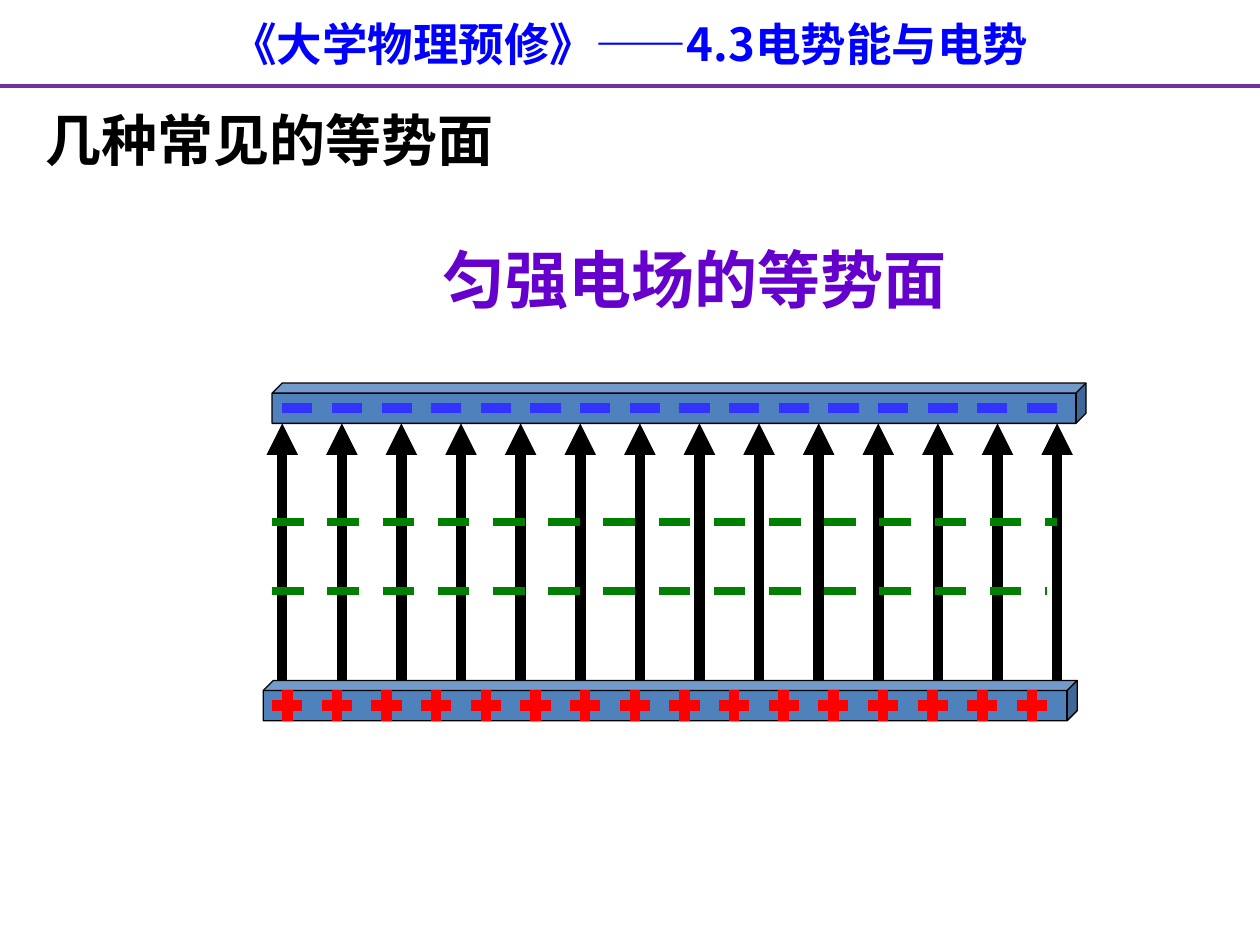
from lxml.etree import SubElement
from pptx import Presentation
from pptx.dml.color import RGBColor as RGB
from pptx.enum.dml import MSO_LINE as Dash
from pptx.enum.shapes import MSO_CONNECTOR as Conn, MSO_SHAPE as Shape
from pptx.enum.text import MSO_ANCHOR as Anchor, PP_ALIGN as Align
from pptx.oxml.ns import qn
from pptx.util import Inches, Pt

FONT = "Noto Sans CJK SC"
BLUE = RGB(0x00, 0x00, 0xFF)
PURPLE = RGB(0x70, 0x30, 0xA0)
VIOLET = RGB(0x66, 0x00, 0xCC)
STEEL = RGB(0x4F, 0x81, 0xBD)
RED = RGB(0xFF, 0x00, 0x00)
INDIGO = RGB(0x33, 0x33, 0xFF)
GREEN = RGB(0x00, 0x80, 0x00)
BLACK = RGB(0x00, 0x00, 0x00)

HEADER = "《大学物理预修》——4.3电势能与电势"
TITLE = "几种常见的等势面"
CAPTION = "匀强电场的等势面"

# Plates: left, top; first and last charge centre, sign
PLATE_W, PLATE_H = 6.46, 0.32
LOWER = (2.09, 5.4, 2.28, 8.19, "+")
UPPER = (2.16, 3.04, 2.36, 8.27, "-")
CHARGES, ARM = 16, 0.12
FIELD_X, FIELD_Y, ARROWS = (2.24, 8.39), (5.4, 3.36), 14
LEVELS = [(2.16, 8.39, 4.14), (2.16, 8.31, 4.69)]


def spread(first, last, count):
    step = (last - first) / (count - 1)
    return [first + i * step for i in range(count)]


def add_line(shapes, x1, y1, x2, y2, color, width):
    line = shapes.add_connector(Conn.STRAIGHT, *map(Inches, (x1, y1, x2, y2)))
    line.line.color.rgb = color
    line.line.width = Pt(width)
    SubElement(line._element.spPr, qn("a:effectLst"))
    return line


def set_text(shape, box, text, size, color, align, pad=(0.1, 0.05)):
    shape.left, shape.top, shape.width, shape.height = map(Inches, box)
    frame = shape.text_frame
    frame.text = text
    frame.word_wrap = True
    frame.vertical_anchor = Anchor.TOP
    frame.margin_left = frame.margin_right = Inches(pad[0])
    frame.margin_top = frame.margin_bottom = Inches(pad[1])
    para = frame.paragraphs[0]
    para.alignment = align
    font = para.runs[0].font
    font.name, font.size, font.bold = FONT, Pt(size), True
    font.color.rgb = color
    SubElement(font._element, qn("a:ea"), typeface=FONT)


def add_plate(slide, left, top, first, last, sign):
    shapes = slide.shapes.add_group_shape().shapes
    cube = shapes.add_shape(
        Shape.CUBE, *map(Inches, (left, top, PLATE_W, PLATE_H)))
    cube.shadow.inherit = False
    cube.fill.solid()
    cube.fill.fore_color.rgb = STEEL
    cube.line.color.rgb = BLACK
    cube.line.width = Pt(0.75)
    y = top + 0.2
    color = RED if sign == "+" else INDIGO
    for x in spread(first, last, CHARGES):
        add_line(shapes, x - ARM, y, x + ARM, y, color, 6)
        if sign == "+":
            add_line(shapes, x, y - ARM, x, y + ARM, color, 6)


def add_field(slide):
    shapes = slide.shapes.add_group_shape().shapes
    start, end = FIELD_Y
    for x in spread(*FIELD_X, ARROWS):
        arrow = add_line(shapes, x, start, x, end, BLACK, 6)
        SubElement(arrow.line._get_or_add_ln(), qn("a:tailEnd"),
                   type="triangle")


def main():
    prs = Presentation()
    prs.slide_width, prs.slide_height = Inches(10), Inches(7.5)
    slide = prs.slides.add_slide(prs.slide_layouts[5])
    shapes = slide.shapes

    set_text(shapes.title, (0.2, 0.76, 5.2, 0.7), TITLE, 32, BLACK,
             Align.LEFT, (0.16, 0.08))
    set_text(shapes.add_textbox(0, 0, 0, 0), (0, 0.08, 10, 0.54),
             HEADER, 26, BLUE, Align.CENTER)
    add_line(shapes, 0, 0.68, 10, 0.68, PURPLE, 2.25)
    set_text(shapes.add_textbox(0, 0, 0, 0), (3.11, 1.86, 4.8, 0.47),
             CAPTION, 36, VIOLET, Align.CENTER)

    add_plate(slide, *LOWER)
    add_plate(slide, *UPPER)
    add_field(slide)
    for x1, x2, y in LEVELS:
        level = add_line(shapes, x1, y, x2, y, GREEN, 4.5)
        level.line.dash_style = Dash.DASH
    prs.save("out.pptx")


if __name__ == "__main__":
    main()
